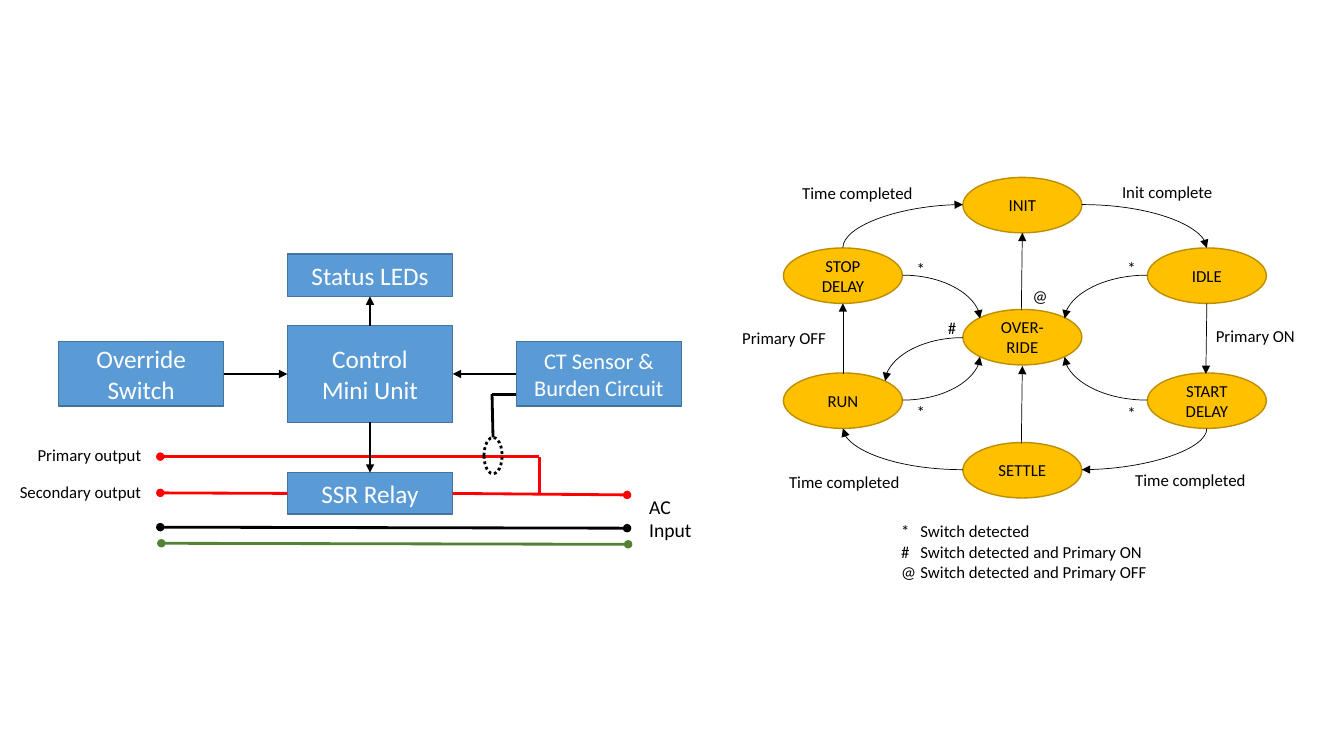
from lxml import etree
from pptx import Presentation
from pptx.dml.color import RGBColor
from pptx.enum.dml import MSO_LINE
from pptx.enum.shapes import MSO_CONNECTOR, MSO_SHAPE
from pptx.enum.text import MSO_ANCHOR, PP_ALIGN
from pptx.oxml.ns import qn
from pptx.util import Inches, Pt

BLACK = RGBColor(0x00, 0x00, 0x00)
WHITE = RGBColor(0xFF, 0xFF, 0xFF)
RED = RGBColor(0xFF, 0x00, 0x00)
GREEN = RGBColor(0x54, 0x82, 0x35)
BLUE = RGBColor(0x5B, 0x9B, 0xD5)
BLUE_EDGE = RGBColor(0x43, 0x73, 0x9E)
GOLD = RGBColor(0xFF, 0xC0, 0x00)
GOLD_EDGE = RGBColor(0xBD, 0x8E, 0x00)

LEFT, CENTER, RIGHT = PP_ALIGN.LEFT, PP_ALIGN.CENTER, PP_ALIGN.RIGHT
MIDDLE, ANCHOR_TOP = MSO_ANCHOR.MIDDLE, MSO_ANCHOR.TOP
RECTANGLE, OVAL = MSO_SHAPE.RECTANGLE, MSO_SHAPE.OVAL
STRAIGHT, CURVE = MSO_CONNECTOR.STRAIGHT, MSO_CONNECTOR.CURVE
DOTTED = MSO_LINE.ROUND_DOT
TOP_SIDE, LEFT_SIDE, BOTTOM_SIDE, RIGHT_SIDE = range(4)

STATE_WIDTH, STATE_HEIGHT = 1.18, 0.55
BOX_WIDTH = 1.64
LABEL_HEIGHT = 0.3


class Diagram:
    font = "Calibri"

    def __init__(self, slide):
        self.slide = slide

    def set_text(self, shape, text, size, color, align, anchor):
        frame = shape.text_frame
        frame.word_wrap = True
        frame.vertical_anchor = anchor
        frame.text = text
        for paragraph in frame.paragraphs:
            paragraph.alignment = align
            for run in paragraph.runs:
                run.font.name = self.font
                run.font.size = Pt(size)
                run.font.color.rgb = color

    def outline(self, kind, left, top, width, height, edge, weight):
        shape = self.slide.shapes.add_shape(
            kind, Inches(left), Inches(top), Inches(width), Inches(height))
        shape.shadow.inherit = False
        shape.fill.background()
        shape.line.color.rgb = edge
        shape.line.width = Pt(weight)
        return shape

    def box(self, text, left, top, height, size=18):
        shape = self.outline(RECTANGLE, left, top, BOX_WIDTH, height, BLUE_EDGE, 1)
        shape.fill.solid()
        shape.fill.fore_color.rgb = BLUE
        self.set_text(shape, text, size, WHITE, CENTER, MIDDLE)
        return shape

    def state(self, text, left, top):
        shape = self.outline(OVAL, left, top, STATE_WIDTH, STATE_HEIGHT, GOLD_EDGE, 1)
        shape.fill.solid()
        shape.fill.fore_color.rgb = GOLD
        self.set_text(shape, text, 12, BLACK, CENTER, MIDDLE)

    def label(self, text, left, top, width, align=LEFT, height=LABEL_HEIGHT, size=12):
        shape = self.slide.shapes.add_textbox(
            Inches(left), Inches(top), Inches(width), Inches(height))
        self.set_text(shape, text, size, BLACK, align, ANCHOR_TOP)
        return shape

    def legend(self, text, left, top, width, height, indent):
        shape = self.label(text, left, top, width, height=height)
        for paragraph in shape.text_frame.paragraphs:
            properties = paragraph._p.get_or_add_pPr()
            properties.set("marL", str(Inches(indent)))
            properties.set("indent", str(-Inches(indent)))

    def line(self, start, end, color=BLACK, weight=2, head=None, tail=None, kind=STRAIGHT):
        connector = self.slide.shapes.add_connector(
            kind, *(Inches(value) for value in start + end))
        connector.line.color.rgb = color
        connector.line.width = Pt(weight)
        outline = connector.line._get_or_add_ln()
        for tag, style in (("a:headEnd", head), ("a:tailEnd", tail)):
            if style:
                etree.SubElement(outline, qn(tag), type=style)
        etree.SubElement(connector.element.spPr, qn("a:effectLst"))
        return connector

    def join(self, source, source_side, target, target_side):
        connector = self.line((0, 0), (0, 0), tail="triangle")
        connector.begin_connect(source, source_side)
        connector.end_connect(target, target_side)

    def bend(self, start, end, head=None, tail=None):
        connector = self.line(start, end, BLACK, 0.5, head, tail, CURVE)
        connector.element.spPr.find(qn("a:prstGeom")).set("prst", "curvedConnector2")


def draw_circuit(diagram):
    diagram.line((1.59, 4.53), (5.35, 4.53), RED, head="oval")
    relay = diagram.box("SSR Relay", 2.85, 4.69, 0.41)
    switch = diagram.box("Override Switch", 0.58, 3.39, 0.64)
    leds = diagram.box("Status LEDs", 2.85, 2.52, 0.42)
    sensor = diagram.box("CT Sensor & Burden Circuit", 5.12, 3.39, 0.64, 16)
    controller = diagram.box("Control\vMini Unit", 2.85, 3.23, 0.96)

    diagram.join(controller, TOP_SIDE, leds, BOTTOM_SIDE)
    diagram.join(controller, BOTTOM_SIDE, relay, TOP_SIDE)
    diagram.join(switch, RIGHT_SIDE, controller, LEFT_SIDE)
    diagram.join(sensor, LEFT_SIDE, controller, RIGHT_SIDE)

    secondary = diagram.line((1.59, 4.89), (2.85, 4.89), RED, head="oval")
    secondary.end_connect(relay, LEFT_SIDE)
    supply = diagram.line((4.49, 4.89), (6.22, 4.91), RED, tail="oval")
    supply.begin_connect(relay, RIGHT_SIDE)
    diagram.line((5.35, 4.89), (5.35, 4.53), RED)
    diagram.line((1.59, 5.23), (6.22, 5.24), BLACK, head="oval", tail="oval")
    diagram.line((1.6, 5.39), (6.23, 5.4), GREEN, head="oval", tail="oval")

    current_loop = diagram.outline(OVAL, 4.8, 4.34, 0.18, 0.36, BLACK, 2)
    current_loop.line.dash_style = DOTTED
    diagram.line((4.89, 4.34), (4.88, 3.91))
    diagram.line((4.88, 3.91), (5.12, 3.91))

    diagram.label("Primary output", 0.09, 4.36, 1.41, RIGHT)
    diagram.label("Secondary output", 0.09, 4.73, 1.41, RIGHT)
    diagram.label("AC\nInput", 6.34, 4.86, 0.74, height=0.57, size=14)


def draw_states(diagram):
    for text, left, top in (
        ("INIT", 9.55, 1.76), ("IDLE", 11.38, 2.46), ("START DELAY", 11.38, 3.7),
        ("SETTLE", 9.55, 4.39), ("RUN", 7.77, 3.7), ("STOP DELAY", 7.77, 2.46),
        ("OVER- RIDE", 9.55, 3.07),
    ):
        diagram.state(text, left, top)

    for start, end in (
        ((10.73, 2.03), (11.97, 2.46)), ((9.55, 4.66), (8.36, 4.25)),
        ((11.38, 2.73), (10.56, 3.16)), ((11.38, 3.97), (10.56, 3.54)),
        ((8.95, 2.73), (9.72, 3.16)), ((8.95, 3.97), (9.72, 3.54)),
        ((9.55, 3.35), (8.78, 3.78)),
    ):
        diagram.bend(start, end, tail="triangle")
    for end, start in (((10.73, 4.66), (11.97, 4.25)), ((9.55, 2.03), (8.36, 2.46))):
        diagram.bend(end, start, head="triangle")
    for start, end in (
        ((11.97, 3.01), (11.96, 3.71)), ((8.36, 3.71), (8.36, 3.01)),
        ((10.13, 3.08), (10.14, 2.31)), ((10.13, 4.4), (10.14, 3.63)),
    ):
        diagram.line(start, end, weight=0.5, tail="triangle")

    for text, left, top, width, align in (
        ("Init complete", 11.03, 1.75, 1.62, LEFT),
        ("Primary ON", 11.96, 3.18, 1.11, LEFT),
        ("Time completed", 11.16, 4.61, 1.39, LEFT),
        ("Time completed", 7.48, 4.63, 1.54, RIGHT),
        ("Primary OFF", 7.17, 3.2, 1.12, RIGHT),
        ("Time completed", 7.77, 1.76, 1.38, RIGHT),
    ):
        diagram.label(text, left, top, width, align)
    for symbol, left, top in (
        ("*", 11.1, 2.51), ("*", 11.1, 3.95), ("*", 9.01, 3.94),
        ("*", 9.01, 2.52), ("#", 9.32, 3.1), ("@", 10.16, 2.79),
    ):
        diagram.label(symbol, left, top, 0.18, CENTER)
    diagram.legend(
        "*\tSwitch detected\n#\tSwitch detected and Primary ON\n"
        "@\tSwitch detected and Primary OFF", 8.84, 5.12, 3.05, 0.71, 0.19)


def main():
    presentation = Presentation()
    presentation.slide_width = Inches(13.33)
    presentation.slide_height = Inches(7.5)
    diagram = Diagram(presentation.slides.add_slide(presentation.slide_layouts[6]))
    draw_circuit(diagram)
    draw_states(diagram)
    presentation.save("out.pptx")


if __name__ == "__main__":
    main()
